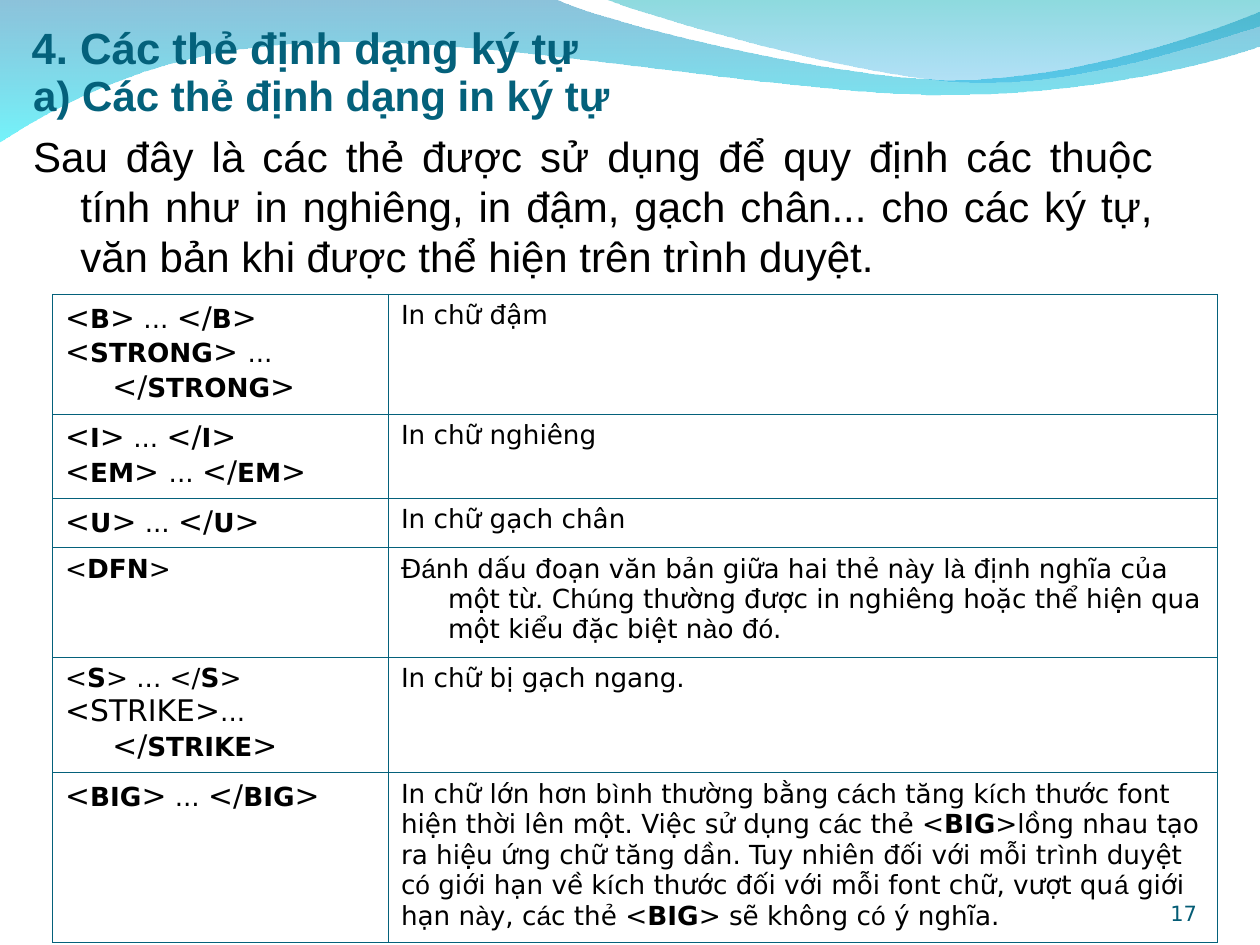
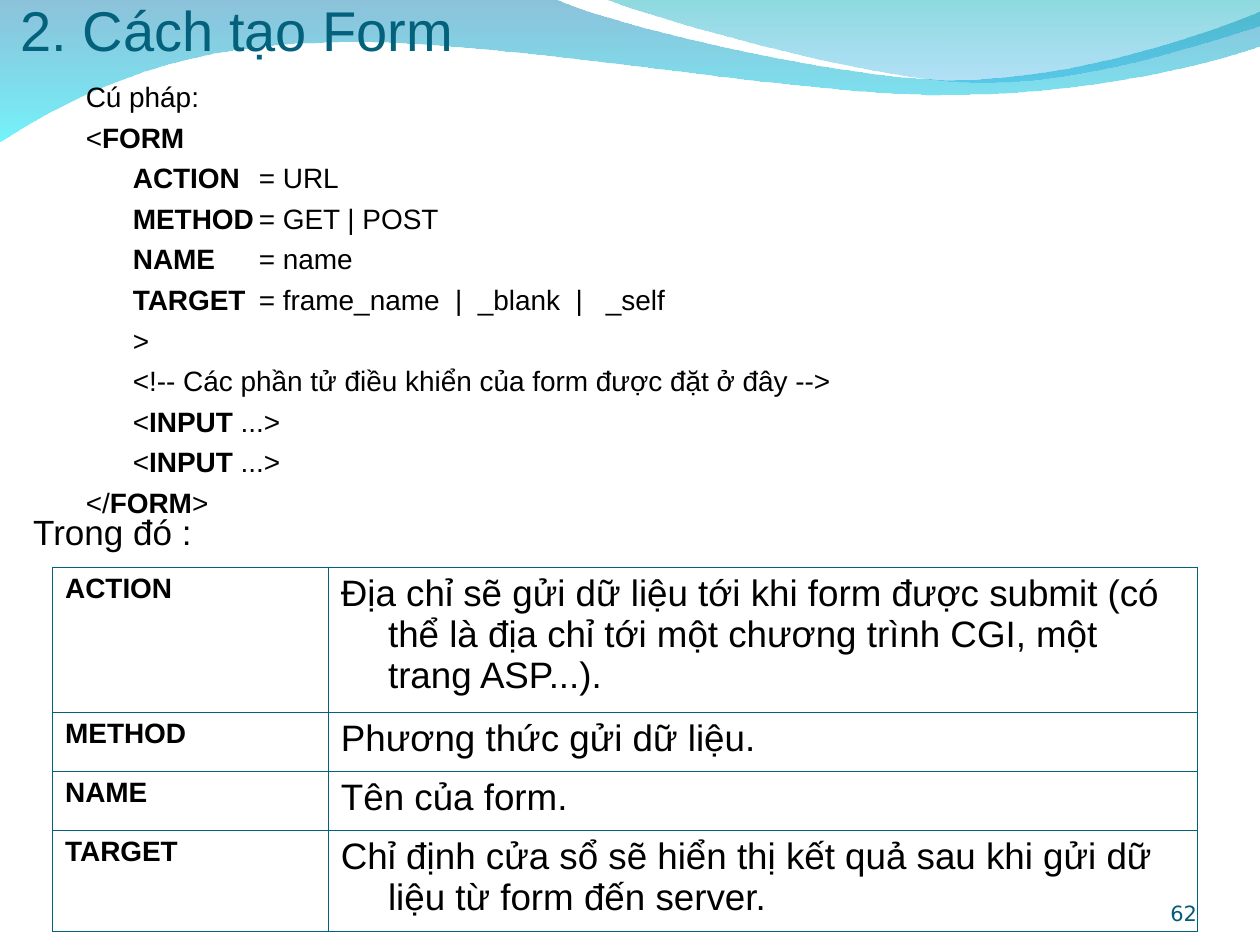
import dataclasses
import itertools

import lxml.etree
import pptx
import pptx.dml.color
import pptx.enum.text
import pptx.oxml.ns
import pptx.util

Cm = pptx.util.Cm
Pt = pptx.util.Pt
qn = pptx.oxml.ns.qn


# ---- Theme ----
@dataclasses.dataclass(frozen=True)
class Style:
    size: float
    font: str = "Arial"
    color: str = "000000"
    bold: bool = False


@dataclasses.dataclass(frozen=True)
class Theme:
    border: str = "04617B"
    border_width: float = 0.45
    large_size: float = 17
    hanging: float = 0.95
    tag: Style = Style(15, "DejaVu Sans")
    attribute: Style = Style(16, bold=True)
    meaning: Style = Style(21)
    code: Style = Style(16)
    intro: Style = Style(24)
    lead_in: Style = Style(20)
    section_title: Style = Style(25, color="04617B", bold=True)
    subtitle: Style = Style(24, color="04617B", bold=True)
    form_title: Style = Style(32, color="04617B")
    page_number: Style = Style(12, "DejaVu Sans", "045C75")


THEME = Theme()
ACCENTED = "àáìíóú"  # set in Arial inside the tag table

# ---- Content: *bold*, {large} ----
CHARACTER_TITLE = "4. Các thẻ định dạng ký tự"
CHARACTER_SUBTITLE = "a) Các thẻ định dạng in ký tự"
CHARACTER_INTRO = (
    "Sau đây là các thẻ được sử dụng để quy định các thuộc tính như in nghiêng, "
    "in đậm, gạch chân... cho các ký tự, văn bản khi được thể hiện trên trình duyệt."
)
# (tags, description, hanging description, row height)
CHARACTER_TAGS = [
    (["{<}*B*{>} ... {</}*B*{>}", "{<}*STRONG*{> }... {</}*STRONG*{>}"],
     "In chữ đậm", True, 2.41),
    (["{<}*I*{>} ... {</}*I*{>}", "{<}*EM*{> }... {</}*EM*{>}"],
     "In chữ nghiêng", True, 1.7),
    (["{<}*U*{>} ... {</}*U*{>}"], "In chữ gạch chân", True, 0.99),
    (["<*DFN*>"],
     "Đánh dấu đoạn văn bản giữa hai thẻ này là định nghĩa của một từ. Chúng thường "
     "được in nghiêng hoặc thể hiện qua một kiểu đặc biệt nào đó.", True, 2.21),
    (["<*S*> ... </*S*>", "{<STRIKE>}... {</}*STRIKE*{>}"],
     "In chữ bị gạch ngang.", True, 2.31),
    (["{<}*BIG*{>} ... {</}*BIG*{>}"],
     "In chữ lớn hơn bình thường bằng cách tăng kích thước font hiện thời lên một. "
     "Việc sử dụng các thẻ <*BIG*>lồng nhau tạo ra hiệu ứng chữ tăng dần. Tuy nhiên "
     "đối với mỗi trình duyệt có giới hạn về kích thước đối với mỗi font chữ, vượt quá "
     "giới hạn này, các thẻ <*BIG*> sẽ không có ý nghĩa.", False, 3.43),
]

FORM_TITLE = "2. Cách tạo Form"
FORM_SYNTAX = [
    "Cú pháp:",
    "<*FORM*",
    "\t*ACTION\t*= URL",
    "\t*METHOD\t*= GET | POST",
    "\t*NAME\t*= name",
    "\t*TARGET\t*= frame_name  |  _blank  |   _self",
    "\t>",
    "\t<!-- Các phần tử điều khiển của form được đặt ở đây -->",
    "\t<*INPUT* ...>",
    "\t<*INPUT* ...>",
    "</*FORM*>",
]
FORM_LEAD_IN = "Trong đó :"
FORM_ATTRIBUTES = [
    (["ACTION"],
     "Địa chỉ sẽ gửi dữ liệu tới khi form được submit (có thể là địa chỉ tới một "
     "chương trình CGI, một trang ASP...).", True, 2.92),
    (["METHOD"], "Phương thức gửi dữ liệu.", True, 1.19),
    (["NAME"], "Tên của form.", True, 1.19),
    (["TARGET"],
     "Chỉ định cửa sổ sẽ hiển thị kết quả sau khi gửi dữ liệu từ form đến server.",
     True, 2.04),
]

# Wave outlines in cm: a single point is a line, three points are a Bézier curve.
# Gradient stops, top to bottom: (colour, opacity percent)
WAVES = [
    ((0, -0.03),
     [[(11.18, -0.03)],
      [(12.09, 0.43), (16.87, 1.6), (19.25, 1.6)],
      [(21.67, 1.6), (24.33, 0.66), (25.4, 0.23)],
      [(25.43, 0.91)],
      [(24.97, 1.12), (22.1, 1.93), (18.95, 1.91)],
      [(15.8, 1.91), (9.7, 0.71), (6.53, 0.86)],
      [(3.28, 0.89), (1.17, 2.11), (-0.03, 2.87)]],
     [("0079AF", 45), ("00EBF8", 55)]),
    ((12.17, -0.03),
     [[(12.93, 0.28), (17.32, 1.57), (19.53, 1.65)],
      [(21.74, 1.75), (24.41, 0.81), (25.4, 0.53)],
      [(25.4, 0)]],
     [("00ADB6", 45), ("009BE5", 30)]),
]


# ---- Text ----
def rgb(color):
    return pptx.dml.color.RGBColor.from_string(color)


def marked_characters(text, style):
    """Yield each visible character with its (bold, large, accented) key."""
    bold, large = style.bold, False
    for character in text:
        if character == "*":
            bold = not bold
        elif character in "{}":
            large = character == "{"
        else:
            accented = style is THEME.tag and character in ACCENTED
            yield character, (bold, large, accented)


def write_paragraph(paragraph, text, style, hanging=True, space_before=0, align="LEFT"):
    paragraph.alignment = getattr(pptx.enum.text.PP_ALIGN, align)
    if space_before:
        paragraph.space_before = Pt(space_before)
    properties = paragraph._p.get_or_add_pPr()
    if hanging:
        properties.set("marL", str(Cm(THEME.hanging)))
        properties.set("indent", str(-Cm(THEME.hanging)))
    if "\t" in text:
        tab_list = lxml.etree.SubElement(properties, qn("a:tabLst"))
        for position in (0, 2.54):
            lxml.etree.SubElement(tab_list, qn("a:tab"), pos=str(Cm(position)), algn="l")
    paragraph.font.size = Pt(style.size)
    paragraph.font.name = style.font
    paragraph.font.bold = style.bold
    paragraph.font.color.rgb = rgb(style.color)

    pieces = itertools.groupby(marked_characters(text, style), key=lambda pair: pair[1])
    for (bold, large, accented), characters in pieces:
        run = paragraph.add_run()
        run.text = "".join(character for character, _ in characters)
        if bold != style.bold:
            run.font.bold = bold
        if large:
            run.font.size = Pt(THEME.large_size)
        if accented:
            run.font.name = "Arial"


def fill_text(frame, texts, style, space_before=0, **options):
    """Write the texts as paragraphs, with space only between them."""
    for index, text in enumerate(texts):
        paragraph = frame.add_paragraph() if index else frame.paragraphs[0]
        write_paragraph(paragraph, text, style,
                        space_before=space_before if index else 0, **options)


def add_text_box(slide, left, top, width, height):
    frame = slide.shapes.add_textbox(Cm(left), Cm(top), Cm(width), Cm(height)).text_frame
    frame.word_wrap = True
    return frame


def add_anchored_text(slide, box, text, style, top_inset=0, align="LEFT"):
    frame = add_text_box(slide, *box)
    frame.vertical_anchor = pptx.enum.text.MSO_ANCHOR.BOTTOM
    frame.margin_left = frame.margin_right = frame.margin_bottom = 0
    frame.margin_top = Cm(top_inset)
    fill_text(frame, [text], style, hanging=False, align=align)


# ---- Shared slide parts ----
def curve_outline(shape, segments):
    """Join the straight steps of each three-point segment into one Bézier curve."""
    steps = iter(list(shape._element.iter(qn("a:lnTo"))))
    for segment in segments:
        lines = list(itertools.islice(steps, len(segment)))
        if len(lines) == 3:
            curve = lxml.etree.Element(qn("a:cubicBezTo"))
            lines[0].addprevious(curve)
            for line in lines:
                curve.append(line[0])
                line.getparent().remove(line)


def add_wave(slide, start, segments, stops):
    builder = slide.shapes.build_freeform(Cm(start[0]), Cm(start[1]))
    builder.add_line_segments([(Cm(x), Cm(y)) for x, y in itertools.chain(*segments)])
    shape = builder.convert_to_shape()
    curve_outline(shape, segments)
    shape.shadow.inherit = False
    shape.line.fill.background()
    shape.fill.gradient()
    shape.fill.gradient_angle = 270
    for stop, (color, _) in zip(shape.fill.gradient_stops, stops):
        stop.color.rgb = rgb(color)
    colors = shape._element.spPr.iter(qn("a:srgbClr"))
    for element, (_, opacity) in zip(colors, stops):
        lxml.etree.SubElement(element, qn("a:alpha"), val=str(opacity * 1000))


def add_base_slide(presentation, title, title_box, title_style):
    slide = presentation.slides.add_slide(presentation.slide_layouts[6])
    for wave in WAVES:
        add_wave(slide, *wave)
    add_anchored_text(slide, title_box, title, title_style, top_inset=0.13)
    return slide


def add_page_number(slide, number):
    add_anchored_text(slide, (22.01, 17.65, 2.12, 1.02), str(number),
                      THEME.page_number, align="RIGHT")


def style_cell(cell):
    properties = cell._tc.get_or_add_tcPr()
    for side in ("lnL", "lnR", "lnT", "lnB"):
        line = lxml.etree.SubElement(properties, qn(f"a:{side}"),
                                     w=str(Pt(THEME.border_width)))
        fill = lxml.etree.SubElement(line, qn("a:solidFill"))
        lxml.etree.SubElement(fill, qn("a:srgbClr"), val=THEME.border)
    cell.fill.background()


def add_definition_table(slide, top, widths, rows, term_style, description_style):
    heights = [row[-1] for row in rows]
    table = slide.shapes.add_table(len(rows), 2, Cm(1.06), Cm(top),
                                   Cm(sum(widths)), Cm(sum(heights))).table
    table.first_row = table.horz_banding = False
    for column, width in zip(table.columns, widths):
        column.width = Cm(width)
    for index, (terms, description, hanging, height) in enumerate(rows):
        table.rows[index].height = Cm(height)
        term_cell, description_cell = table.cell(index, 0), table.cell(index, 1)
        style_cell(term_cell)
        style_cell(description_cell)
        fill_text(term_cell.text_frame, terms, term_style)
        fill_text(description_cell.text_frame, [description], description_style,
                  hanging=hanging)


# ---- Slides ----
def add_character_slide(presentation):
    slide = add_base_slide(presentation, CHARACTER_TITLE, (0.64, 0.2, 21.59, 1.27),
                           THEME.section_title)
    add_definition_table(slide, 5.93, (6.77, 16.72), CHARACTER_TAGS, THEME.tag, THEME.tag)
    add_page_number(slide, 17)
    frame = add_text_box(slide, 0.42, 1.27, 23.07, 4.55)
    fill_text(frame, [CHARACTER_SUBTITLE], THEME.subtitle)
    write_paragraph(frame.add_paragraph(), CHARACTER_INTRO, THEME.intro,
                    space_before=6, align="JUSTIFY")


def add_form_slide(presentation):
    slide = add_base_slide(presentation, FORM_TITLE, (0.42, 0.2, 21.59, 1.07),
                           THEME.form_title)
    add_definition_table(slide, 11.43, (5.56, 17.52), FORM_ATTRIBUTES,
                         THEME.attribute, THEME.meaning)
    add_page_number(slide, 62)
    fill_text(add_text_box(slide, 1.48, 1.48, 20.75, 9.12), FORM_SYNTAX, THEME.code,
              space_before=4)
    fill_text(add_text_box(slide, 0.42, 10.16, 21.17, 1.12), [FORM_LEAD_IN], THEME.lead_in)


def main():
    presentation = pptx.Presentation()
    presentation.slide_width, presentation.slide_height = Cm(25.4), Cm(19.05)
    add_character_slide(presentation)
    add_form_slide(presentation)
    presentation.save("out.pptx")


if __name__ == "__main__":
    main()
